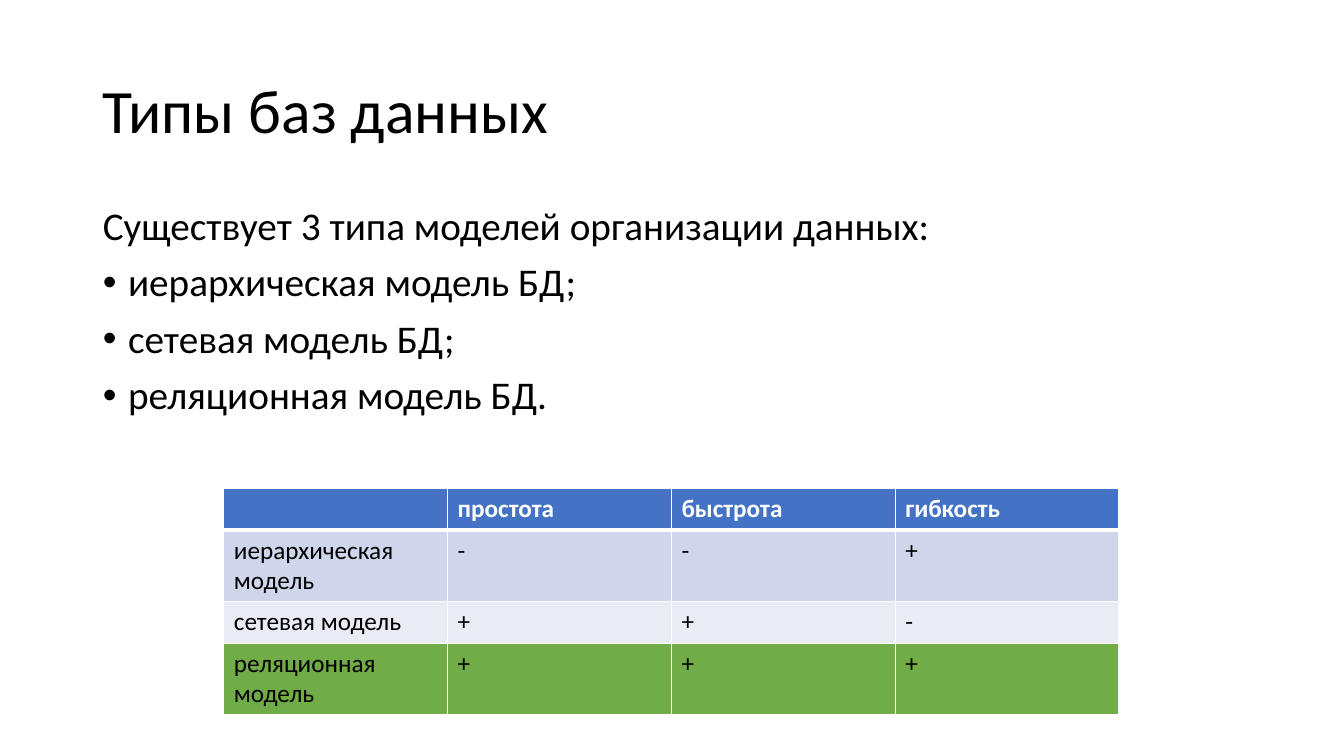
from dataclasses import dataclass

from lxml import etree
from pptx import Presentation
from pptx.dml.color import RGBColor
from pptx.enum.text import MSO_ANCHOR, MSO_AUTO_SIZE, PP_ALIGN
from pptx.oxml.ns import qn
from pptx.util import Pt

LEFT = PP_ALIGN.LEFT
MIDDLE = MSO_ANCHOR.MIDDLE
TOP = MSO_ANCHOR.TOP
NO_AUTOFIT = MSO_AUTO_SIZE.NONE
EMU_PER_PX = 9144


@dataclass(frozen=True)
class Theme:
    font: str = "Calibri"
    title_size: int = 44
    body_size: int = 28
    table_size: int = 18
    text: str = "000000"
    header_text: str = "FFFFFF"
    border: str = "FFFFFF"
    header_fill: str = "4472C4"
    odd_fill: str = "CFD5EA"
    even_fill: str = "E9EBF5"
    highlight_fill: str = "70AD47"


THEME = Theme()

TITLE = "Типы баз данных"
INTRO = "Существует 3 типа моделей организации данных:"
MODELS = ["иерархическая модель БД;", "сетевая модель БД;", "реляционная модель БД."]
COMPARISON = [
    ["", "простота", "быстрота", "гибкость"],
    ["иерархическая модель", "-", "-", "+"],
    ["сетевая модель", "+", "+", "-"],
    ["реляционная модель", "+", "+", "+"],
]
ROW_FILLS = [THEME.header_fill, THEME.odd_fill, THEME.even_fill, THEME.highlight_fill]


def px(length):
    return length * EMU_PER_PX


def place(shape, left, top, width, height):
    shape.left, shape.top = px(left), px(top)
    shape.width, shape.height = px(width), px(height)


def format_runs(paragraph, size, color, bold=False):
    for run in paragraph.runs:
        run.font.name = THEME.font
        run.font.size = Pt(size)
        run.font.bold = bold
        run.font.color.rgb = RGBColor.from_string(color)


def set_bullet(paragraph, character, indent):
    properties = paragraph._p.get_or_add_pPr()
    properties.set("marL", str(px(indent)))
    properties.set("indent", str(-px(indent)))
    if character:
        etree.SubElement(properties, qn("a:buFont"), typeface="Arial")
        etree.SubElement(properties, qn("a:buChar"), char=character)
    else:
        etree.SubElement(properties, qn("a:buNone"))


def fill_title(shape):
    place(shape, 92, 40, 1150, 145)
    frame = shape.text_frame
    frame.text = TITLE
    frame.auto_size = NO_AUTOFIT
    frame.vertical_anchor = MIDDLE
    paragraph = frame.paragraphs[0]
    paragraph.alignment = LEFT
    paragraph.line_spacing = 0.9
    format_runs(paragraph, THEME.title_size, THEME.text)


def fill_body(shape):
    place(shape, 92, 200, 1150, 476)
    frame = shape.text_frame
    frame.text = "\n".join([INTRO, *MODELS])
    frame.auto_size = NO_AUTOFIT
    frame.vertical_anchor = TOP
    for index, paragraph in enumerate(frame.paragraphs):
        paragraph.line_spacing = 0.9
        paragraph.space_before = Pt(10)
        if index == 0:
            set_bullet(paragraph, None, 0)
        else:
            set_bullet(paragraph, "•", 25)
        format_runs(paragraph, THEME.body_size, THEME.text)


def set_borders(cell, widths):
    properties = cell._tc.get_or_add_tcPr()
    for position, (side, width) in enumerate(widths.items()):
        line = etree.Element(qn(f"a:ln{side}"), w=str(Pt(width)))
        fill = etree.SubElement(line, qn("a:solidFill"))
        etree.SubElement(fill, qn("a:srgbClr"), val=THEME.border)
        properties.insert(position, line)


def add_comparison(slide):
    rows, columns = len(COMPARISON), len(COMPARISON[0])
    frame = slide.shapes.add_table(
        rows, columns, px(222), px(485), px(222 * columns), px(41 * rows)
    )
    for row, (texts, fill) in enumerate(zip(COMPARISON, ROW_FILLS)):
        header = row == 0
        color = THEME.header_text if header else THEME.text
        widths = {"L": 1, "R": 1, "T": 3 if row == 1 else 1, "B": 3 if header else 1}
        for column, text in enumerate(texts):
            cell = frame.table.cell(row, column)
            cell.text_frame.text = text
            cell.fill.solid()
            cell.fill.fore_color.rgb = RGBColor.from_string(fill)
            set_borders(cell, widths)
            format_runs(cell.text_frame.paragraphs[0], THEME.table_size, color, header)


def main():
    presentation = Presentation()
    presentation.slide_width = px(1333)
    presentation.slide_height = px(750)
    slide = presentation.slides.add_slide(presentation.slide_layouts[1])
    fill_title(slide.shapes.title)
    fill_body(slide.placeholders[1])
    add_comparison(slide)
    presentation.save("out.pptx")


if __name__ == "__main__":
    main()
